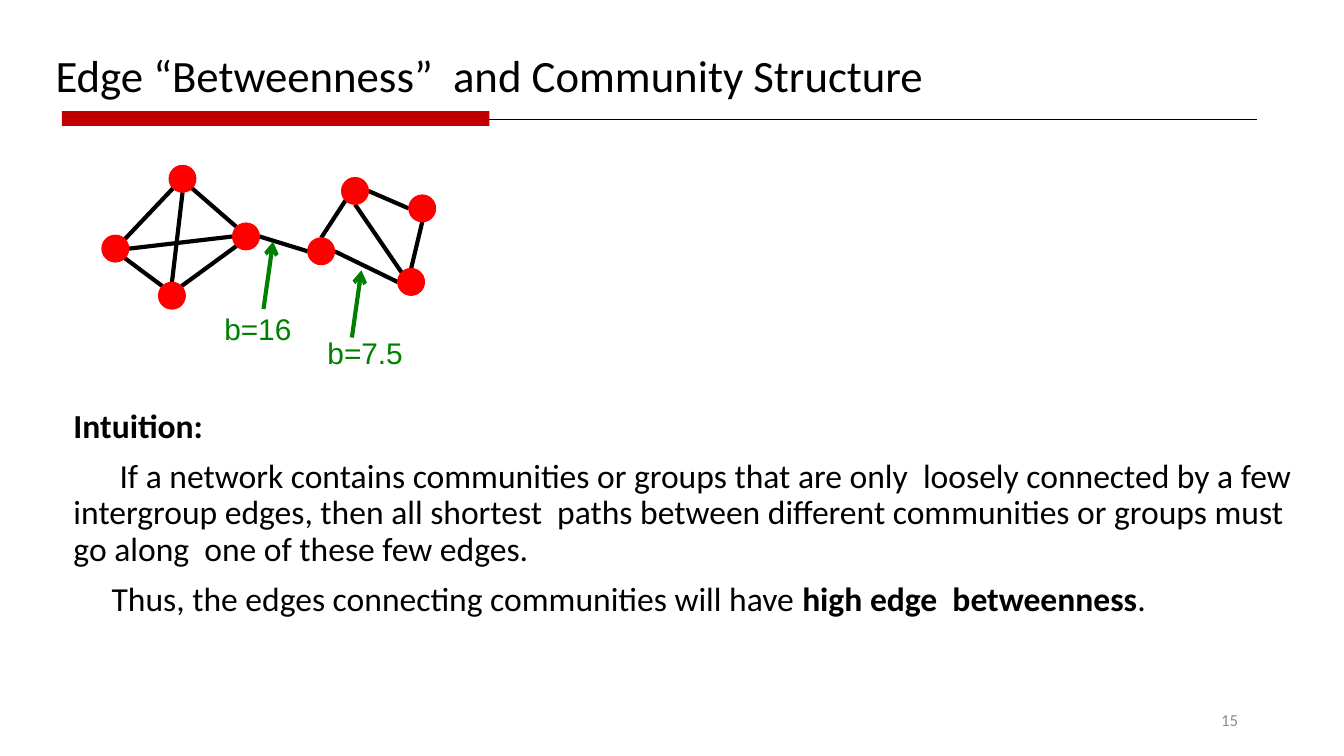
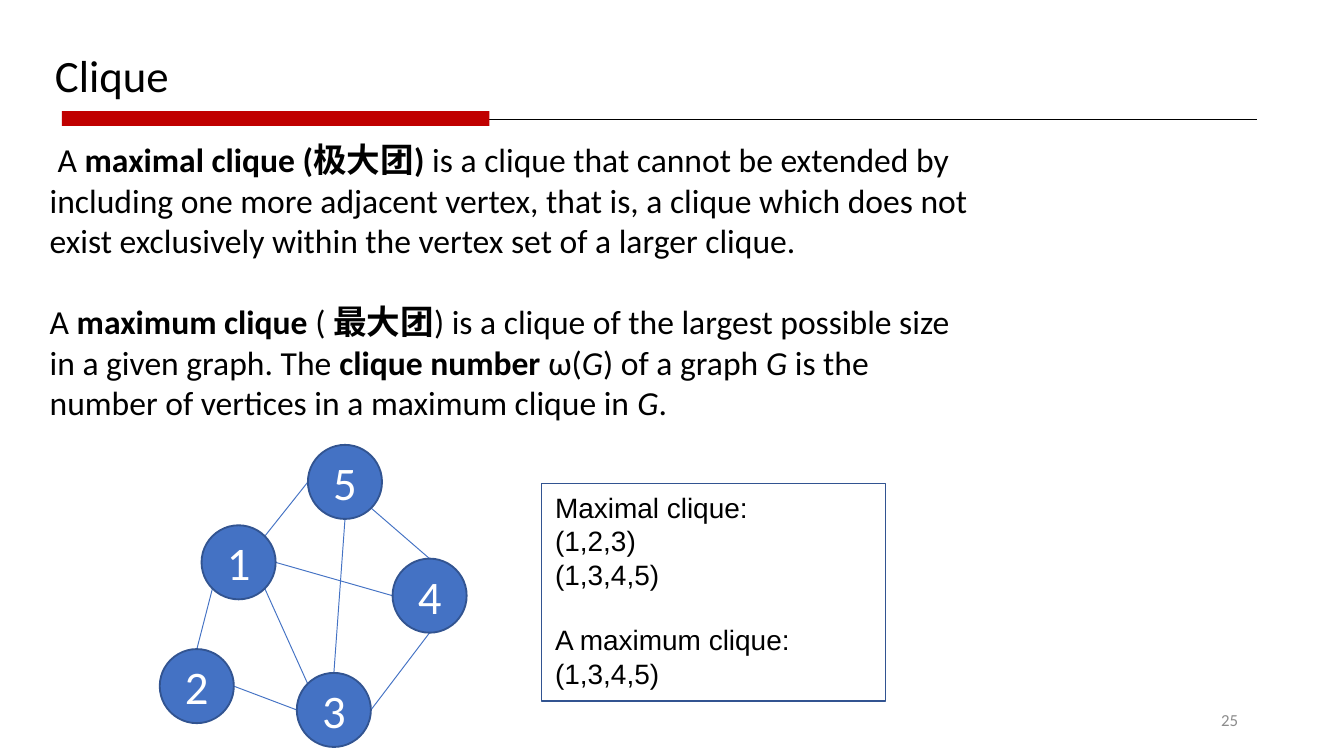
from dataclasses import dataclass
from math import cos, radians, sin
from typing import NamedTuple

from lxml.etree import SubElement
from pptx import Presentation
from pptx.dml.color import RGBColor
from pptx.enum.shapes import MSO_CONNECTOR, MSO_SHAPE
from pptx.enum.text import MSO_ANCHOR, MSO_AUTO_SIZE, PP_ALIGN
from pptx.oxml.ns import qn
from pptx.util import Cm, Pt


@dataclass(frozen=True)
class Theme:
    # Colours
    ink: str = "000000"
    accent: str = "C00000"
    muted: str = "8C8C8C"
    red_node: str = "FF0000"
    blue_node: str = "4472C4"
    blue_outline: str = "325491"
    callout: str = "008000"
    white: str = "FFFFFF"
    # Fonts and type sizes
    body_font: str = "Calibri"
    label_font: str = "Arial"
    title_size: float = 24
    body_size: float = 18
    label_size: float = 16
    list_size: float = 15
    node_size: float = 25
    page_size: float = 9


THEME = Theme()


class Box(NamedTuple):
    """A region in centimetres."""
    left: float
    top: float
    width: float
    height: float

    def lengths(self):
        return [Cm(value) for value in self]


class GraphStyle(NamedTuple):
    diameter: float
    fill: str
    outline: str
    outline_width: float
    edge: str
    edge_width: float
    numbered: bool


RED_GRAPH = GraphStyle(0.51, THEME.red_node, THEME.red_node, 0.5, THEME.ink, 2.25, False)
BLUE_GRAPH = GraphStyle(1.4, THEME.blue_node, THEME.blue_outline, 1, THEME.blue_node, 0.5, True)

# Points on a circle, as clockwise degrees from the right
SITES = {"R": 0, "BR": 45, "B": 90, "BL": 135, "L": 180, "TL": 225, "T": 270, "TR": 315}


def colour(value):
    return RGBColor.from_string(value)


def add_line(slide, start, end, line_colour, width, arrow=False):
    line = slide.shapes.add_connector(
        MSO_CONNECTOR.STRAIGHT, *[Cm(value) for value in (*start, *end)])
    line.line.color.rgb = colour(line_colour)
    line.line.width = Pt(width)
    properties = line._element.spPr
    if arrow:
        SubElement(properties.find(qn("a:ln")), qn("a:tailEnd"), type="arrow")
    SubElement(properties, qn("a:effectLst"))


def add_block(slide, kind, box, fill=None, outline=None, width=0.75):
    shape = slide.shapes.add_shape(kind, *box.lengths())
    shape.shadow.inherit = False
    if fill:
        shape.fill.solid()
        shape.fill.fore_color.rgb = colour(fill)
    else:
        shape.fill.background()
    if outline:
        shape.line.color.rgb = colour(outline)
        shape.line.width = Pt(width)
    else:
        shape.line.fill.background()
    return shape


def style_paragraph(paragraph, size, font, text_colour, align=PP_ALIGN.LEFT):
    paragraph.alignment = align
    paragraph.font.size = Pt(size)
    paragraph.font.name = font
    paragraph.font.color.rgb = colour(text_colour)


def fill_paragraph(paragraph, runs, indent=0):
    """Write (text, mark) runs; a mark holds b for bold and i for italic."""
    if indent:
        paragraph._p.get_or_add_pPr().set("indent", str(Cm(indent)))
    for text, mark in runs:
        run = paragraph.add_run()
        run.text = text
        if "b" in mark:
            run.font.bold = True
        if "i" in mark:
            run.font.italic = True


def add_paragraphs(frame, count):
    return [frame.paragraphs[0]] + [frame.add_paragraph() for _ in range(count - 1)]


def add_text(slide, box, anchor=MSO_ANCHOR.TOP, wrap=True):
    frame = slide.shapes.add_textbox(*box.lengths()).text_frame
    frame.word_wrap = wrap
    frame.vertical_anchor = anchor
    return frame


def add_frame(slide, title, page, align=PP_ALIGN.LEFT):
    """Rule, red band, page number and title shared by all slides."""
    add_line(slide, (1.17, 2.25), (23.75, 2.25), THEME.ink, 0.5)
    add_block(slide, MSO_SHAPE.RECTANGLE, Box(1.17, 2.1, 8.08, 0.28), THEME.accent)

    number = add_text(slide, Box(17.93, 13.23, 5.72, 0.76), MSO_ANCHOR.MIDDLE).paragraphs[0]
    number.text = str(page)
    style_paragraph(number, THEME.page_size, THEME.body_font, THEME.muted, PP_ALIGN.RIGHT)

    heading = add_text(slide, Box(0.79, 0.2, 16.92, 1.85), MSO_ANCHOR.BOTTOM).paragraphs[0]
    heading.text = title
    heading.line_spacing = 0.9
    style_paragraph(heading, THEME.title_size, THEME.body_font, THEME.ink, align)


def add_graph(slide, box, nodes, edges, style):
    """Nodes are centres relative to the box; edges name a node and site at each end."""
    radius = style.diameter / 2
    centres = {name: (box.left + x, box.top + y) for name, (x, y) in nodes.items()}

    def on_circle(name, site):
        x, y = centres[name]
        angle = radians(SITES[site])
        return x + radius * cos(angle), y + radius * sin(angle)

    for first, first_site, second, second_site in edges:
        add_line(slide, on_circle(first, first_site), on_circle(second, second_site),
                 style.edge, style.edge_width)
    for name, (x, y) in centres.items():
        node = add_block(slide, MSO_SHAPE.OVAL,
                         Box(x - radius, y - radius, style.diameter, style.diameter),
                         style.fill, style.outline, style.outline_width)
        if style.numbered:
            frame = node.text_frame
            frame.vertical_anchor = MSO_ANCHOR.MIDDLE
            frame.paragraphs[0].text = name
            style_paragraph(frame.paragraphs[0], THEME.node_size, THEME.body_font,
                            THEME.white, PP_ALIGN.CENTER)


def add_callout(slide, box, text, arrow_offset):
    """A green label whose arrow points up at an edge."""
    frame = add_text(slide, box, wrap=False)
    frame.auto_size = MSO_AUTO_SIZE.SHAPE_TO_FIT_TEXT
    frame.paragraphs[0].text = text
    style_paragraph(frame.paragraphs[0], THEME.label_size, THEME.label_font, THEME.callout)
    x, y = box.left + arrow_offset[0], box.top + arrow_offset[1]
    add_line(slide, (x, y), (x + 0.18, y - 1.27), THEME.callout, 2.25, arrow=True)


def add_intuition(slide, box):
    content = [
        (PP_ALIGN.JUSTIFY, 0, [("Intuition:", "b")]),
        (PP_ALIGN.LEFT, 0.87, [
            ("If a network contains communities or groups that are only  loosely connected "
             "by a few intergroup edges, then all shortest  paths between different "
             "communities or groups must go along  one of these few edges.", "")]),
        (PP_ALIGN.LEFT, 0.72, [
            ("Thus, the edges connecting communities will have ", ""),
            ("high edge  betweenness", "b"), (".", "")]),
    ]
    paragraphs = add_paragraphs(add_text(slide, box), len(content))
    for index, (paragraph, (align, indent, runs)) in enumerate(zip(paragraphs, content)):
        fill_paragraph(paragraph, runs, indent)
        paragraph.line_spacing = 0.9
        if index:
            paragraph.space_before = Pt(7.5)
        style_paragraph(paragraph, THEME.body_size, THEME.body_font, THEME.ink, align)


def add_definitions(slide, box):
    maximal = [
        ("A ", ""), ("maximal clique (极大团)", "b"),
        (" is a clique that cannot be extended by including one more adjacent vertex, "
         "that is, a clique which does not exist exclusively within the vertex set of "
         "a larger clique.", "")]
    maximum = [
        ("A ", ""), ("maximum clique", "b"), (" ( ", ""), ("最大团", "b"),
        (") is a clique of the largest possible size in a given graph. The ", ""),
        ("clique number ", "b"), ("ω(", ""), ("G", "i"), (") of a graph ", ""), ("G", "i"),
        (" is the number of vertices in a maximum clique in ", ""), ("G", "i"), (".", "")]
    first, second = add_paragraphs(add_text(slide, box), 2)
    fill_paragraph(first, maximal, indent=0.15)
    fill_paragraph(second, maximum)
    second.space_before = Pt(22)
    for paragraph in (first, second):
        style_paragraph(paragraph, THEME.body_size, THEME.body_font, THEME.ink)


def add_clique_list(slide, box):
    lines = ["Maximal clique:", "(1,2,3)", "(1,3,4,5)", "A maximum clique:", "(1,3,4,5)"]
    panel = add_block(slide, MSO_SHAPE.RECTANGLE, box, outline=THEME.blue_outline)
    frame = panel.text_frame
    frame.vertical_anchor = MSO_ANCHOR.TOP
    for paragraph, line in zip(add_paragraphs(frame, len(lines)), lines):
        paragraph.text = line
        if line.startswith("A "):
            paragraph.space_before = Pt(17)
        style_paragraph(paragraph, THEME.list_size, THEME.label_font, THEME.ink)


def build_betweenness_slide(slide):
    add_frame(slide, "Edge “Betweenness”  and Community Structure", 15, PP_ALIGN.CENTER)
    add_intuition(slide, Box(1.14, 7.61, 23.72, 5.55))

    # Two communities joined by one edge
    nodes = {
        "north": (1.52, 0.26), "west": (0.25, 1.58), "south": (1.32, 2.47),
        "bridge": (2.72, 1.35), "hub": (4.14, 1.63), "peak": (4.78, 0.49),
        "east": (6.05, 0.82), "base": (5.84, 2.21)}
    edges = [
        ("north", "BR", "bridge", "TL"), ("bridge", "R", "hub", "L"),
        ("north", "B", "south", "T"), ("south", "TL", "west", "BR"),
        ("north", "BL", "west", "TR"), ("bridge", "BL", "south", "TR"),
        ("west", "R", "bridge", "L"), ("peak", "R", "east", "L"),
        ("hub", "T", "peak", "BL"), ("hub", "R", "base", "L"),
        ("peak", "B", "base", "TL"), ("base", "T", "east", "B")]
    add_graph(slide, Box(1.93, 3.12, 6.3, 2.72), nodes, edges, RED_GRAPH)

    # Betweenness values
    add_callout(slide, Box(3.99, 5.74, 1.8, 0.94), "b=16", (0.99, 0.1))
    add_callout(slide, Box(5.94, 6.2, 1.96, 0.94), "b=7.5", (0.71, 0.18))


def build_clique_slide(slide):
    add_frame(slide, "Clique", 25)
    add_definitions(slide, Box(0.69, 2.51, 17.96, 5.64))

    # Five-vertex example
    nodes = {"1": (1.49, 2.22), "2": (0.7, 4.56), "3": (3.29, 5.01),
             "4": (5.1, 2.85), "5": (3.5, 0.7)}
    edges = [
        ("1", "BL", "2", "T"), ("2", "R", "3", "L"), ("3", "R", "4", "B"),
        ("4", "L", "1", "R"), ("3", "TL", "1", "BR"), ("5", "L", "1", "TR"),
        ("4", "T", "5", "BR"), ("3", "T", "5", "B")]
    add_graph(slide, Box(3.02, 8.41, 5.8, 5.71), nodes, edges, BLUE_GRAPH)
    add_clique_list(slide, Box(10.24, 9.14, 6.5, 4.11))


def main():
    presentation = Presentation()
    presentation.slide_width, presentation.slide_height = Cm(25.4), Cm(14.29)
    blank = presentation.slide_layouts[6]
    for build in (build_betweenness_slide, build_clique_slide):
        build(presentation.slides.add_slide(blank))
    presentation.save("out.pptx")


if __name__ == "__main__":
    main()
